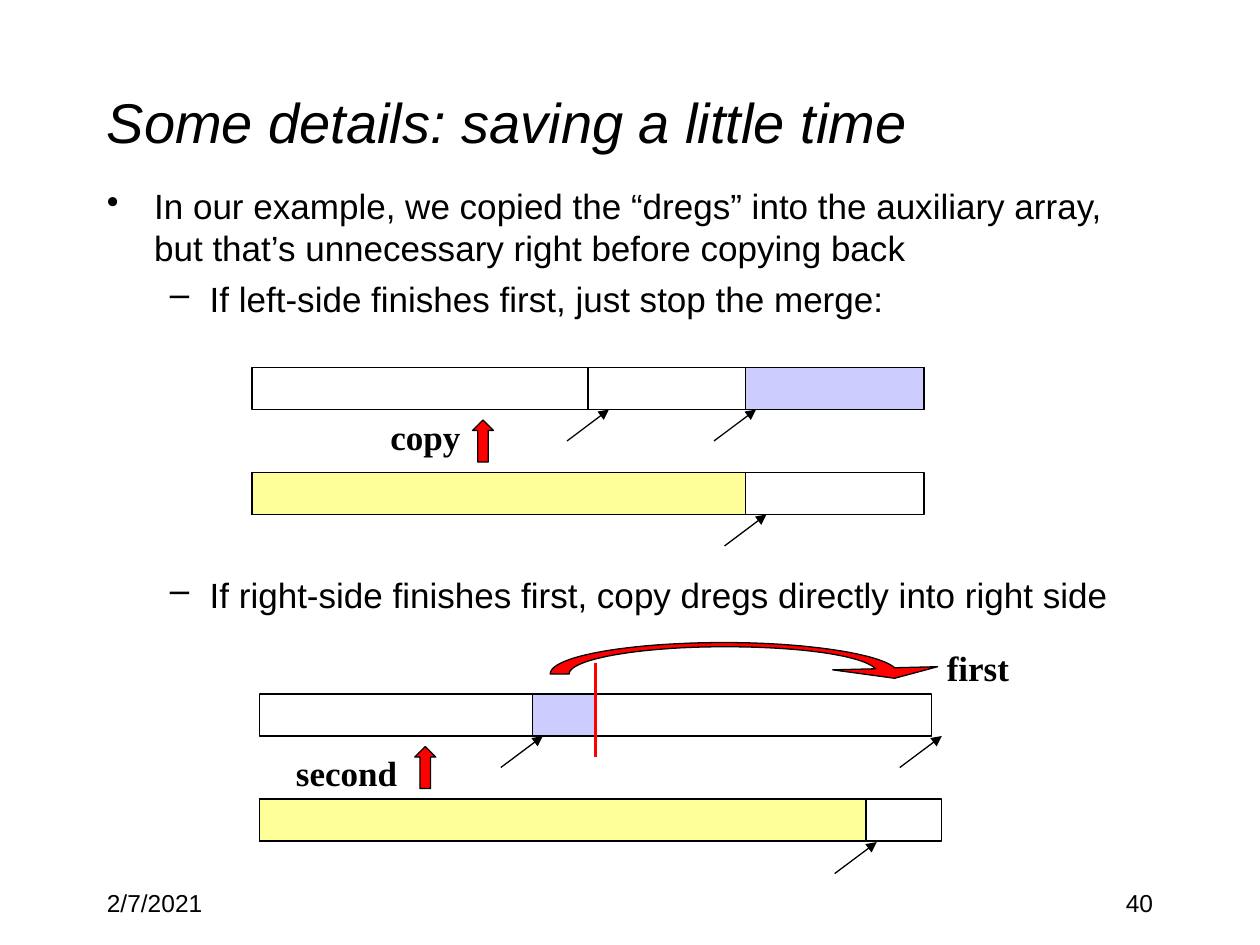
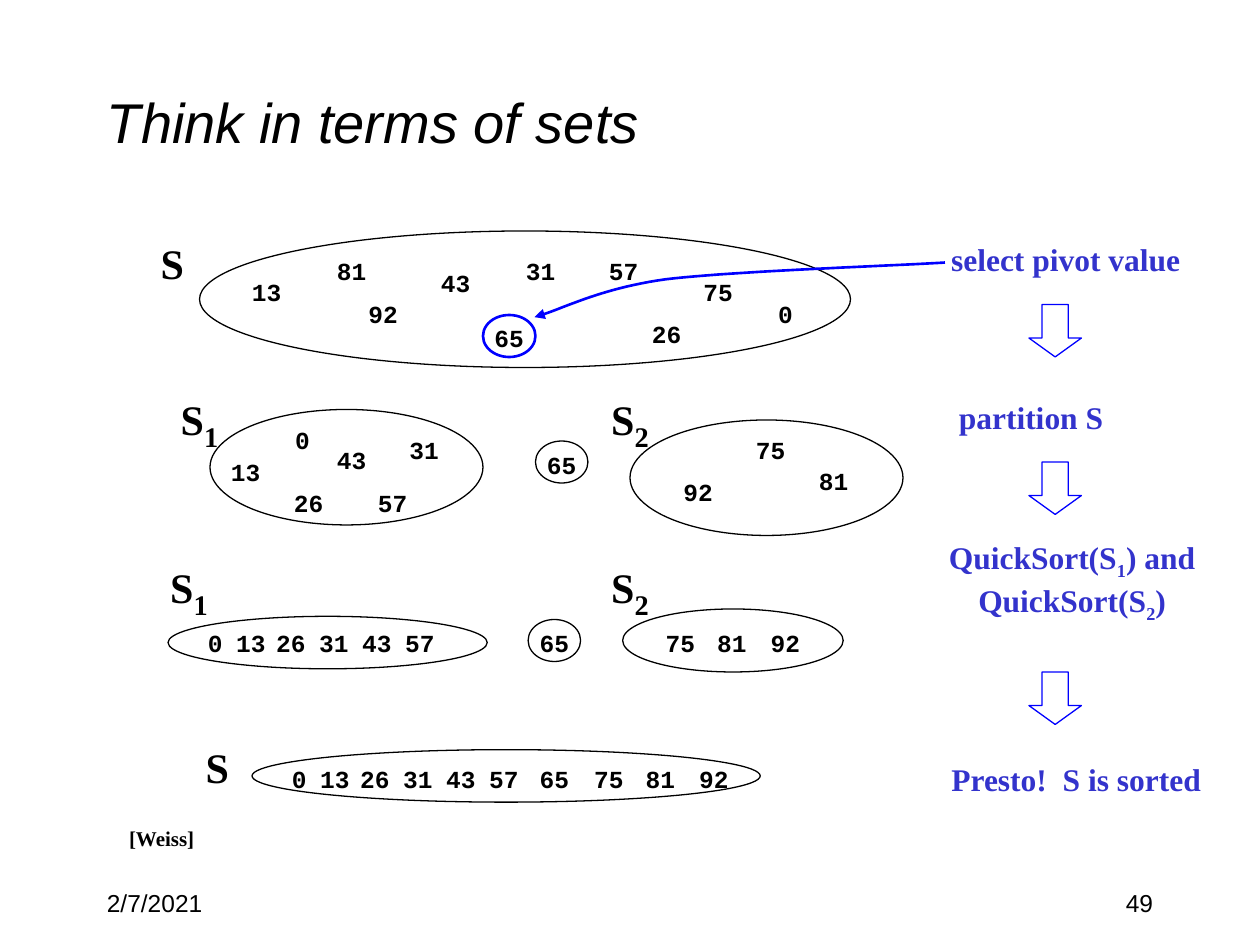
from dataclasses import dataclass

from lxml import etree
from pptx import Presentation
from pptx import util as u
from pptx.dml.color import RGBColor
from pptx.enum import shapes, text
from pptx.oxml import ns

PX = 7620  # EMU per px, 120 px to the inch
SHAPE = shapes.MSO_SHAPE
ALIGN = text.PP_ALIGN
ANCHOR = text.MSO_ANCHOR


@dataclass(frozen=True)
class Theme:
    ink: str = "000000"
    dregs: str = "CCCCFF"
    merged: str = "FFFF99"
    alert: str = "FF0000"
    pivot: str = "0000FF"
    step: str = "3333CC"
    paper: str = "FFFFFF"
    sans: str = "Arial"
    serif: str = "Times New Roman"
    mono: str = "Courier New"
    title_size: int = 32
    body_size: int = 20
    set_size: int = 24
    subscript_size: int = 28
    step_size: int = 18
    small_size: int = 14
    credit_size: int = 12
    thin: float = 0.75
    thick: float = 1.5


THEME = Theme()


# Shared formatting
def px(*lengths):
    return [round(length * PX) for length in lengths]


def style_line(line, color, width):
    line.color.rgb = RGBColor.from_string(color)
    line.width = u.Pt(width)


def style_shape(shape, fill=None, color=THEME.ink, width=THEME.thin):
    shape.shadow.inherit = False
    if fill:
        shape.fill.solid()
        shape.fill.fore_color.rgb = RGBColor.from_string(fill)
    else:
        shape.fill.background()
    style_line(shape.line, color, width)


def add_head(item):
    line = item.line._get_or_add_ln()
    etree.SubElement(line, ns.qn("a:tailEnd"), type="triangle")


def style_font(font, size, face, color=THEME.ink, bold=False, italic=False):
    font.size, font.name, font.bold, font.italic = u.Pt(size), face, bold, italic
    font.color.rgb = RGBColor.from_string(color)


# Text
def add_text(slide, box, words, size, face=THEME.sans, align=ALIGN.LEFT,
             anchor=ANCHOR.TOP, wrap=True, **look):
    frame = slide.shapes.add_textbox(*px(*box)).text_frame
    frame.text = words
    frame.word_wrap = wrap
    frame.vertical_anchor = anchor
    if not wrap:
        frame.auto_size = text.MSO_AUTO_SIZE.SHAPE_TO_FIT_TEXT
    for paragraph in frame.paragraphs:
        paragraph.alignment = align
        for run in paragraph.runs:
            style_font(run.font, size, face, **look)
    return frame


def add_label(slide, center, extent, words, size, face=THEME.serif,
              color=THEME.ink, subscript_size=None):
    """Bold centred text; a part between underscores is a subscript."""
    (x, y), (width, height) = center, extent
    box = (x - width / 2, y - height / 2, width, height)
    frame = add_text(slide, box, "", size, align=ALIGN.CENTER,
                     anchor=ANCHOR.MIDDLE, wrap=False)
    for index, line in enumerate(words.split("\n")):
        paragraph = frame.add_paragraph() if index else frame.paragraphs[0]
        paragraph.alignment = ALIGN.CENTER
        for part, piece in enumerate(line.split("_")):
            if not piece:
                continue
            run = paragraph.add_run()
            run.text = piece
            lowered = part % 2 == 1
            run_size = subscript_size if lowered and subscript_size else size
            style_font(run.font, run_size, face, color, bold=True)
            if lowered:
                run._r.get_or_add_rPr().set("baseline", "-25000")


def add_bullets(slide, box, items):
    """Items are (bullet, left margin, hanging indent, space before, words)."""
    frame = add_text(slide, box, "\n".join(item[-1] for item in items),
                     THEME.body_size)
    for paragraph, (bullet, margin, hang, space, _) in zip(frame.paragraphs, items):
        paragraph.space_before = u.Pt(space)
        properties = paragraph._p.get_or_add_pPr()
        properties.set("marL", str(margin * PX))
        properties.set("indent", str(-hang * PX))
        etree.SubElement(properties, ns.qn("a:buChar"), char=bullet)


def add_base(deck, title, number):
    slide = deck.slides.add_slide(deck.slide_layouts[6])
    add_text(slide, (90, 40, 1020, 150), title, THEME.title_size,
             anchor=ANCHOR.MIDDLE, italic=True)
    add_text(slide, (90, 840, 250, 60), "2/7/2021", THEME.small_size)
    add_text(slide, (860, 840, 250, 60), number, THEME.small_size,
             align=ALIGN.RIGHT)
    return slide


# Shapes and lines
def add_figure(slide, kind, box, **look):
    shape = slide.shapes.add_shape(kind, *px(*box))
    style_shape(shape, **look)
    return shape


def add_line(slide, start, end, color=THEME.ink, width=THEME.thin):
    line = slide.shapes.add_connector(shapes.MSO_CONNECTOR.STRAIGHT,
                                      *px(*start, *end))
    style_line(line.line, color, width)
    etree.SubElement(line._element.spPr, ns.qn("a:effectLst"))
    return line


def add_pointer(slide, tip):
    x, y = tip
    add_head(add_line(slide, (x - 40, y + 30), tip))


def bezier(start, first, second, end, steps=24):
    for step in range(1, steps + 1):
        t = step / steps
        s = 1 - t
        yield tuple(s**3 * a + 3 * s * s * t * b + 3 * s * t * t * c + t**3 * d
                    for a, b, c, d in zip(start, first, second, end))


def add_outline(slide, start, segments, close, **look):
    """A segment is one point for a line or three points for a curve."""
    points = [start]
    for segment in segments:
        points += bezier(points[-1], *segment) if len(segment) == 3 else segment
    builder = slide.shapes.build_freeform(*px(*start), scale=1.0)
    builder.add_line_segments([px(*point) for point in points[1:]], close=close)
    outline = builder.convert_to_shape()
    style_shape(outline, **look)
    return outline


# Merge slide
def add_merge(slide, left, top, scratch, merged, dregs, tips, copy_arrow):
    half, height, drop = 320, 40, 100
    bars = [(0, 0, half, None), (half, 0, half, None), (0, drop, scratch, None),
            (*dregs, THEME.dregs), (0, drop, merged, THEME.merged)]
    for x, y, width, fill in bars:
        add_figure(slide, SHAPE.RECTANGLE, (left + x, top + y, width, height),
                   fill=fill)
    for x, y in tips:
        add_pointer(slide, (left + x, top + height + y))
    add_figure(slide, SHAPE.UP_ARROW, (left + copy_arrow, top + 50, 20, 40),
               fill=THEME.alert)


def build_merge_slide(deck):
    slide = add_base(deck, "Some details: saving a little time", "40")
    add_bullets(slide, (90, 170, 1020, 440), [
        ("•", 45, 45, 2, "In our example, we copied the “dregs” into the auxiliary "
         "array, but that’s unnecessary right before copying back"),
        ("–", 98, 38, 5, "If left-side finishes first, just stop the merge:"),
        ("–", 98, 38, 145, "If right-side finishes first, copy dregs directly "
         "into right side"),
    ])
    add_merge(slide, 240, 350, scratch=640, merged=470, dregs=(470, 0, 170),
              tips=[(340, 0), (480, 0), (490, 100)], copy_arrow=210)
    add_merge(slide, 247, 661, scratch=650, merged=578, dregs=(260, 0, 60),
              tips=[(270, 0), (650, 0), (588, 101)], copy_arrow=148)
    add_line(slide, (567, 631), (567, 721), THEME.alert, THEME.thick)

    # Sweep of the dregs into the right side
    add_outline(slide, (834, 637), [
        [(821, 624), (761, 616), (690, 616)],
        [(608, 616), (542, 628), (542, 642)],
        [(524, 642)],
        [(524, 625), (599, 612), (690, 612)],
        [(769, 612), (838, 623), (852, 636)],
        [(893, 635)], [(852, 646)], [(793, 638)],
    ], close=True, fill=THEME.alert)

    for x, y, width, words in [(360, 390, 91, "copy"), (890, 610, 84, "first"),
                               (270, 710, 121, "second")]:
        add_text(slide, (x, y, width, 53), words, THEME.body_size,
                 THEME.serif, wrap=False, bold=True)


# Quicksort slide
def add_numbers(slide, places):
    for number, x, y in places:
        width = 53 if number > 9 else 38
        add_label(slide, (x, y), (width, 41), str(number), THEME.small_size,
                  THEME.mono)


def build_sets_slide(deck):
    slide = add_base(deck, "Think in terms of sets", "49")

    # Sets
    for box, fill in [((190, 220, 620, 130), THEME.paper),
                      ((200, 390, 260, 110), THEME.paper),
                      ((600, 400, 260, 110), None),
                      ((160, 587, 304, 50), THEME.paper),
                      ((593, 580, 210, 60), None),
                      ((240, 714, 484, 50), THEME.paper),
                      ((510, 420, 50, 40), None),
                      ((503, 590, 50, 40), None)]:
        add_figure(slide, SHAPE.OVAL, box, fill=fill)
    add_figure(slide, SHAPE.OVAL, (460, 300, 50, 40), color=THEME.pivot,
               width=THEME.thick)

    # Unsorted and partitioned members
    add_numbers(slide, [
        (13, 254, 278), (81, 335, 258), (92, 365, 299), (43, 434, 269),
        (65, 485, 322), (31, 515, 258), (57, 594, 258), (26, 635, 318),
        (75, 684, 278), (0, 748, 299)])
    add_numbers(slide, [
        (13, 234, 449), (81, 794, 458), (92, 665, 468), (43, 335, 438),
        (65, 535, 443), (31, 404, 428), (57, 374, 479), (26, 294, 479),
        (75, 734, 428), (0, 288, 419)])

    # Sorted members: the two parts close up around the pivot
    below = [(0, 205), (13, 239), (26, 277), (31, 318), (43, 359), (57, 400)]
    above = [(75, 648), (81, 697), (92, 748)]
    for y, below_shift, above_shift in [(612, 0, 0), (742, 80, -68)]:
        add_numbers(slide, [(n, x + below_shift, y) for n, x in below])
        add_numbers(slide, [(65, 528, y)])
        add_numbers(slide, [(n, x + above_shift, y) for n, x in above])

    # Set names
    for x, y, name in [(164, 250, "S"), (190, 400, "S_1"), (600, 400, "S_2"),
                       (180, 560, "S_1"), (600, 560, "S_2"), (207, 730, "S")]:
        extent = (62, 68) if "_" in name else (47, 60)
        add_label(slide, (x, y), extent, name, THEME.set_size,
                  subscript_size=THEME.subscript_size)

    # Steps
    for center, extent, step in [
            ((1015, 247), (245, 48), "select pivot value"),
            ((982, 397), (163, 48), "partition S"),
            ((1021, 553), (263, 85), "QuickSort(S_1_) and\nQuickSort(S_2_)"),
            ((1025, 742), (264, 48), "Presto!  S is sorted")]:
        add_label(slide, center, extent, step, THEME.step_size, color=THEME.step)
    for y in (290, 440, 640):
        arrow = add_figure(slide, SHAPE.DOWN_ARROW, (980, y, 50, 50),
                           color=THEME.pivot)
        arrow.adjustments[1] = 0.36

    pivot_link = add_outline(slide, (900, 250), [
        [(856, 253), (700, 258), (634, 266)],
        [(569, 275), (535, 295), (509, 302)],
    ], close=False, color=THEME.pivot, width=THEME.thick)
    add_head(pivot_link)
    add_label(slide, (154, 798), (86, 36), "[Weiss]", THEME.credit_size)


def main():
    deck = Presentation()
    deck.slide_width, deck.slide_height = px(1200, 900)
    build_merge_slide(deck)
    build_sets_slide(deck)
    deck.save("out.pptx")


if __name__ == "__main__":
    main()
